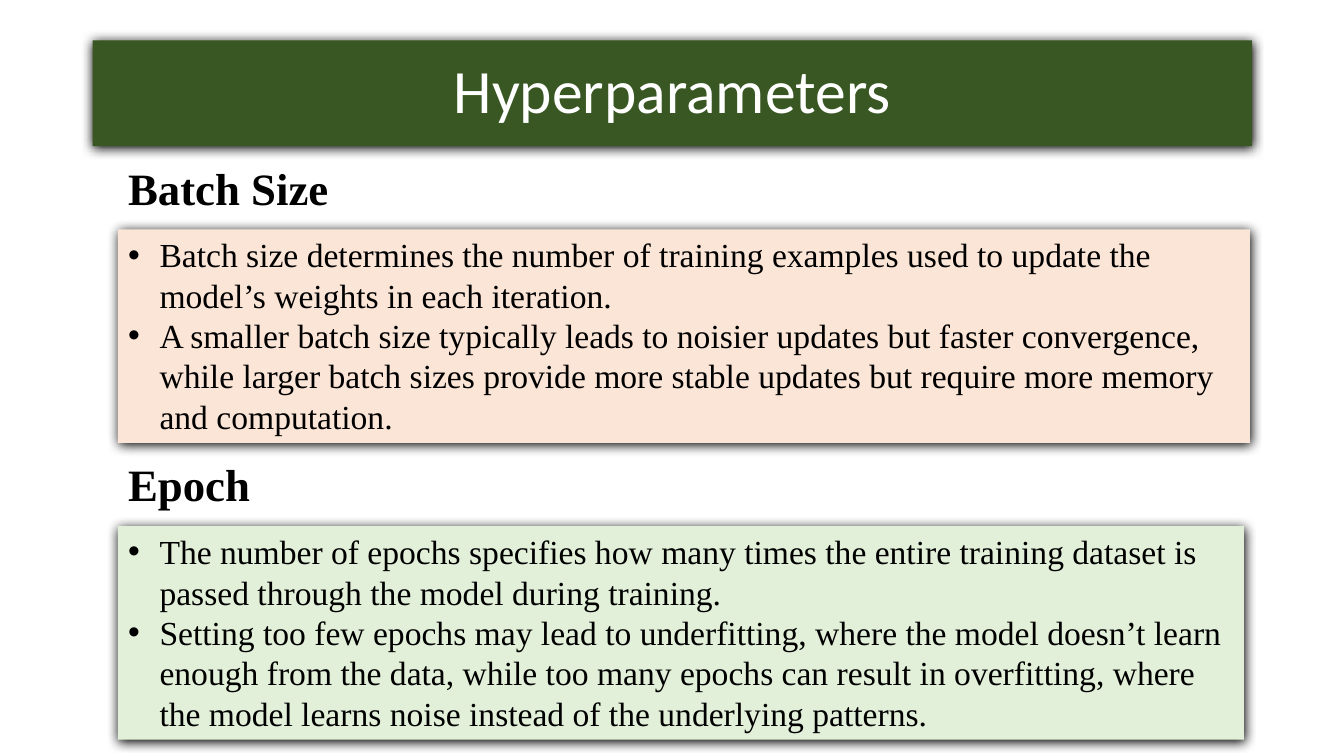
"""Build a slide that explains the batch size and epoch hyperparameters."""
import lxml.etree
import pptx
import pptx.dml.color
import pptx.enum.text
import pptx.oxml.ns
import pptx.util

Pt = pptx.util.Pt
RGBColor = pptx.dml.color.RGBColor
qn = pptx.oxml.ns.qn
ANCHOR = pptx.enum.text.MSO_ANCHOR
ALIGN = pptx.enum.text.PP_ALIGN

THEME = {
    "title": {"font": "Calibri", "size": 44, "color": "FFFFFF", "bold": False},
    "heading": {"font": "Times New Roman", "size": 32, "color": "000000", "bold": True},
    "body": {"font": "Times New Roman", "size": 24, "color": "000000", "bold": False},
    "banner": "385723",
    "peach": "FBE5D6",
    "mint": "E2F0D9",
    "shadow": "000000",
}
LEFT = 84.24
BULLET_INDENT = 22.5

SECTIONS = [
    ("Batch Size", 110.9, 808.6, "peach", [
        "Batch size determines the number of training examples used to update the "
        "model’s weights in each iteration.",
        "A smaller batch size typically leads to noisier updates but faster convergence, "
        "while larger batch sizes provide more stable updates but require more memory "
        "and computation.",
    ]),
    ("Epoch", 322.9, 804.2, "mint", [
        "The number of epochs specifies how many times the entire training dataset is "
        "passed through the model during training.",
        "Setting too few epochs may lead to underfitting, where the model doesn’t learn "
        "enough from the data, while too many epochs can result in overfitting, where "
        "the model learns noise instead of the underlying patterns.",
    ]),
]


def write_text(shape, lines, style, box, anchor=ANCHOR.TOP):
    """Place a placeholder and fill it with formatted paragraphs."""
    shape.left, shape.top, shape.width, shape.height = [Pt(length) for length in box]
    text_frame = shape.text_frame
    text_frame.text = "\n".join(lines)
    text_frame.word_wrap = True
    text_frame.auto_size = pptx.enum.text.MSO_AUTO_SIZE.NONE
    text_frame.vertical_anchor = anchor
    for paragraph in text_frame.paragraphs:
        paragraph.alignment = ALIGN.LEFT
        paragraph.space_before = Pt(0)
        for run in paragraph.runs:
            run.font.name = THEME[style]["font"]
            run.font.size = Pt(THEME[style]["size"])
            run.font.bold = THEME[style]["bold"]
            run.font.color.rgb = RGBColor.from_string(THEME[style]["color"])


def fill_panel(shape, color):
    """Give a placeholder a solid fill and a soft shadow."""
    shape.fill.solid()
    shape.fill.fore_color.rgb = RGBColor.from_string(THEME[color])
    shape.line.fill.background()
    shape.shadow.inherit = False
    effects = shape.element.spPr.find(qn("a:effectLst"))
    shadow = lxml.etree.SubElement(
        effects, qn("a:outerShdw"), blurRad=str(Pt(8.5)), dist=str(Pt(1)),
        dir="5400000", algn="t", rotWithShape="0")
    lxml.etree.SubElement(shadow, qn("a:srgbClr"), val=THEME["shadow"])


presentation = pptx.Presentation()
presentation.slide_width = Pt(960)
presentation.slide_height = Pt(540)
comparison_layout = presentation.slide_layouts.get_by_name("Comparison")
slide = presentation.slides.add_slide(comparison_layout)
title, *section_placeholders = slide.placeholders

write_text(title, ["Hyperparameters"], "title", (66.24, 28.8, 828, 75.6), ANCHOR.MIDDLE)
title.text_frame.paragraphs[0].alignment = ALIGN.CENTER
title.text_frame.paragraphs[0].line_spacing = 0.9
fill_panel(title, "banner")

pairs = zip(section_placeholders[::2], section_placeholders[1::2])
for (heading, panel), (name, top, width, color, points) in zip(pairs, SECTIONS):
    write_text(heading, [name], "heading", (LEFT, top, 480, 46))
    write_text(panel, points, "body", (LEFT, top + 52.9, width, 152.6))
    fill_panel(panel, color)
    for paragraph in panel.text_frame.paragraphs:
        properties = paragraph._p.get_or_add_pPr()
        properties.set("marL", str(Pt(BULLET_INDENT)))
        properties.set("indent", str(-Pt(BULLET_INDENT)))
        lxml.etree.SubElement(properties, qn("a:buFont"), typeface="Arial")
        lxml.etree.SubElement(properties, qn("a:buChar"), char="•")

presentation.save("out.pptx")
